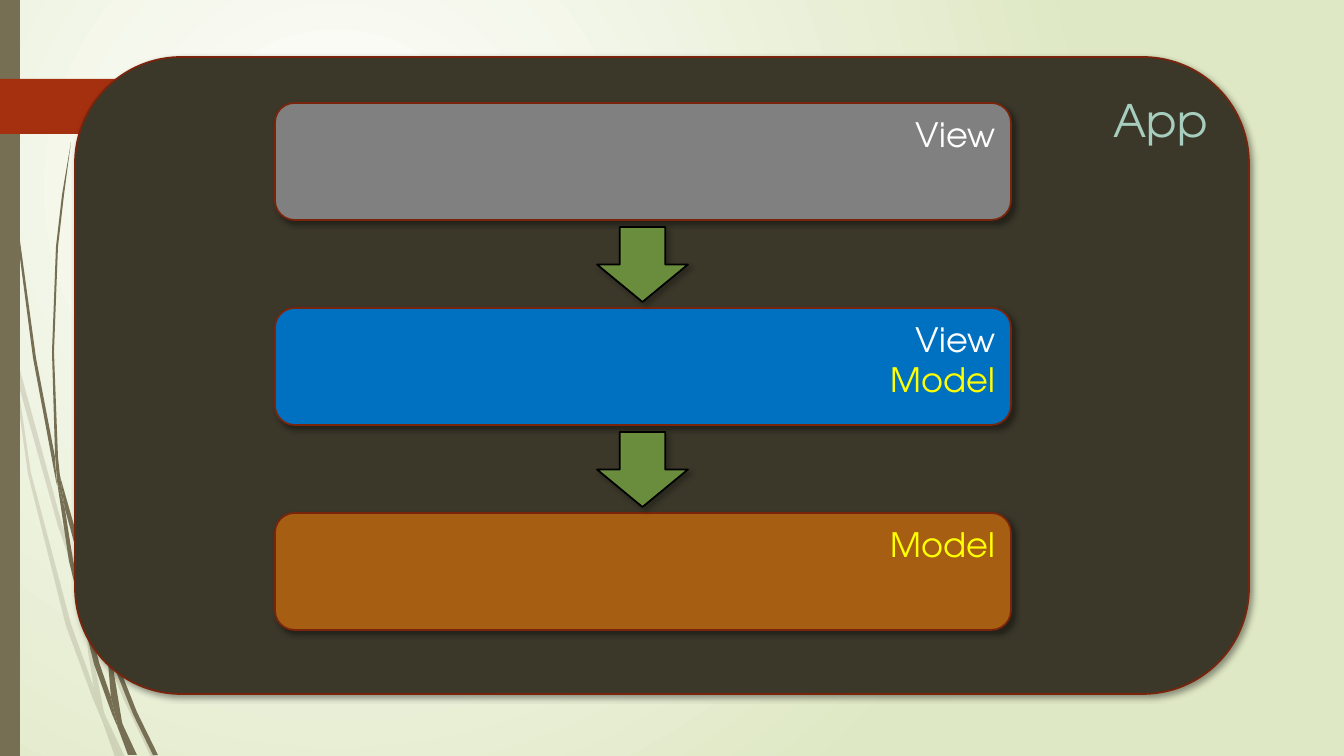
from lxml.etree import SubElement
from pptx import Presentation
from pptx.dml.color import RGBColor
from pptx.enum.shapes import MSO_SHAPE as SHAPE
from pptx.enum.text import MSO_ANCHOR, PP_ALIGN
from pptx.oxml.ns import qn
from pptx.util import Emu, Pt

SLIDE_W, SLIDE_H = 1344, 756
SCALE = 12192000 / SLIDE_W
FONT = "TeX Gyre Adventor"

WHITE = RGBColor(0xFF, 0xFF, 0xFF)
BLACK = RGBColor(0, 0, 0)
PALE_GREEN = RGBColor(0xDF, 0xE8, 0xC4)
OLIVE = RGBColor(0x76, 0x6F, 0x54)
RED = RGBColor(0xA5, 0x30, 0x10)
DARK_RED = RGBColor(0x7A, 0x24, 0x0C)
DARK_OLIVE = RGBColor(0x3B, 0x38, 0x2A)
MINT = RGBColor(0xA6, 0xCD, 0xBD)
GREY = RGBColor(0x80, 0x80, 0x80)
BLUE = RGBColor(0x00, 0x70, 0xC0)
BROWN = RGBColor(0xA6, 0x5E, 0x12)
YELLOW = RGBColor(0xFF, 0xFF, 0x00)
GREEN = RGBColor(0x92, 0xD0, 0x50)

VIEW, MODEL = ("View", WHITE), ("Model", YELLOW)
LAYERS = [(GREY, [VIEW]), (BLUE, [VIEW, MODEL]), (BROWN, [MODEL])]

# Outlines of the grass blades, in px
FAINT_BLADES = [
    [(0, 301), (10, 347), (11, 353), (28, 474), (66, 626), (93, 699), (102, 720),
     (115, 757), (120, 757), (102, 720), (100, 713), (94, 688), (71, 624),
     (31, 473), (17, 379), (11, 353), (9, 325), (0, 284)],
    [(85, 604), (88, 651), (94, 688), (100, 713), (102, 720), (120, 757),
     (125, 757), (106, 717), (104, 712), (92, 651), (89, 615)],
    [(14, 348), (62, 524), (86, 591), (85, 604), (58, 526), (17, 379)],
    [(89, 601), (93, 612), (128, 698), (156, 757), (151, 757), (124, 700), (89, 615)],
]
SOLID_BLADES = [
    [(3, 0), (4, 48), (7, 111), (17, 235), (33, 358), (56, 481), (57, 485), (55, 461),
     (55, 457), (36, 358), (19, 234), (8, 110), (5, 48), (4, 0)],
    [(57, 481), (69, 561), (94, 664), (112, 714), (118, 728), (128, 755), (132, 755),
     (118, 728), (117, 723), (111, 697), (99, 662), (73, 560), (65, 509)],
    [(71, 142), (62, 195), (56, 247), (52, 352), (55, 453), (57, 481), (65, 509),
     (60, 476), (58, 457), (54, 352), (58, 247), (64, 195)],
    [(60, 476), (94, 595), (107, 636), (107, 650), (89, 597), (65, 509)],
    [(111, 646), (114, 654), (137, 712), (158, 755), (153, 755), (133, 714), (112, 661)],
    [(107, 650), (111, 697), (117, 723), (118, 728), (131, 755), (137, 755),
     (123, 725), (122, 722), (112, 661), (110, 656)],
]


def px(n):
    return Emu(round(n * SCALE))


def set_alpha(color_parent, percent):
    SubElement(color_parent[0], qn("a:alpha"), val=str(percent * 1000))


def paint(shape, fill, line=None, alpha=None):
    shape.shadow.inherit = False
    shape.fill.solid()
    shape.fill.fore_color.rgb = fill
    if alpha:
        set_alpha(shape._element.spPr.find(qn("a:solidFill")), alpha)
    if line is None:
        shape.line.fill.background()
    else:
        shape.line.color.rgb = line
        shape.line.width = Pt(1.25)


def add_box(s, preset, box, fill, line=None, alpha=None):
    shape = s.shapes.add_shape(preset, *map(px, box))
    paint(shape, fill, line, alpha)
    return shape


def cast_shadow(shape):
    effects = shape._element.spPr.find(qn("a:effectLst"))
    shadow = SubElement(effects, qn("a:outerShdw"), blurRad=str(Pt(4)),
                        dist=str(Pt(3)), dir="2700000", rotWithShape="0")
    SubElement(shadow, qn("a:srgbClr"), val=str(BLACK))
    set_alpha(shadow, 40)


def add_panel(s, box, fill, lines, size):
    """Rounded panel with right-aligned (text, colour) lines at its top."""
    panel = add_box(s, SHAPE.ROUNDED_RECTANGLE, box, fill, DARK_RED)
    cast_shadow(panel)
    tf = panel.text_frame
    tf.vertical_anchor = MSO_ANCHOR.TOP
    for i, (text, color) in enumerate(lines):
        p = tf.paragraphs[0] if i == 0 else tf.add_paragraph()
        p.text = text
        p.alignment = PP_ALIGN.RIGHT
        p.font.name, p.font.size, p.font.color.rgb = FONT, Pt(size), color


def add_blade(s, points, alpha=None):
    builder = s.shapes.build_freeform(*points[0], scale=SCALE)
    builder.add_line_segments(points[1:], close=True)
    paint(builder.convert_to_shape(), OLIVE, alpha=alpha)


def set_background(s):
    fill = s.background.fill
    fill.gradient()
    for stop, color in zip(fill.gradient_stops, (WHITE, PALE_GREEN)):
        stop.color.rgb = color
    grad = s.element.find(".//" + qn("a:gradFill"))
    grad.remove(grad.find(qn("a:lin")))
    circle = SubElement(grad, qn("a:path"), path="circle")
    SubElement(circle, qn("a:fillToRect"), l="50000", t="50000", r="100000", b="100000")


def add_decoration(s):
    for points in FAINT_BLADES:
        add_blade(s, points, alpha=20)
    for points in SOLID_BLADES:
        add_blade(s, points)
    add_box(s, SHAPE.RECTANGLE, (0, 0, 20, SLIDE_H), OLIVE)
    tab = add_box(s, SHAPE.PENTAGON, (0, 79, 175, 55), RED)
    tab.adjustments[0] = 0.45


def add_layers(s, left, top, width, height):
    """Stack the layers evenly in the box, with an arrow in each gap."""
    card_h, arrow_w, arrow_h = 117, 91, 75
    step = (height - card_h) // (len(LAYERS) - 1)
    for i, (fill, lines) in enumerate(LAYERS):
        y = top + i * step
        add_panel(s, (left, y, width, card_h), fill, lines, 24)
        if i:
            gap = step - card_h
            box = (left + (width - arrow_w) // 2, y - (gap + arrow_h) // 2, arrow_w, arrow_h)
            cast_shadow(add_box(s, SHAPE.DOWN_ARROW, box, GREEN, BLACK, alpha=60))


def add_app(s, left, top, width, height):
    add_panel(s, (left, top, width, height), DARK_OLIVE, [("App", MINT)], 32)
    add_layers(s, left + 200, top + 46, 736, 527)


def main():
    prs = Presentation()
    prs.slide_width, prs.slide_height = px(SLIDE_W), px(SLIDE_H)
    s = prs.slides.add_slide(prs.slide_layouts[6])
    set_background(s)
    add_decoration(s)
    add_app(s, 75, 57, 1174, 637)
    prs.save("out.pptx")


if __name__ == "__main__":
    main()
